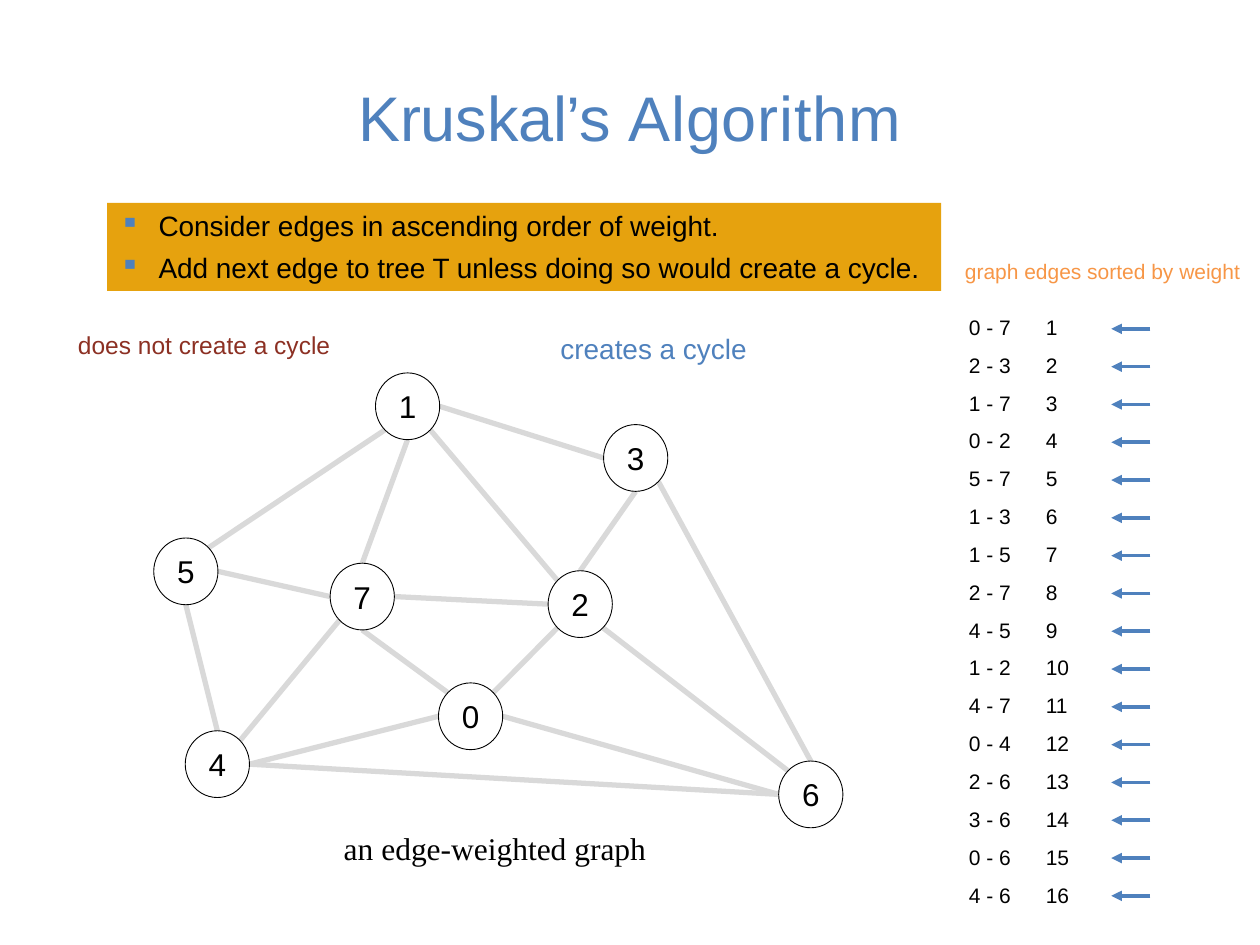
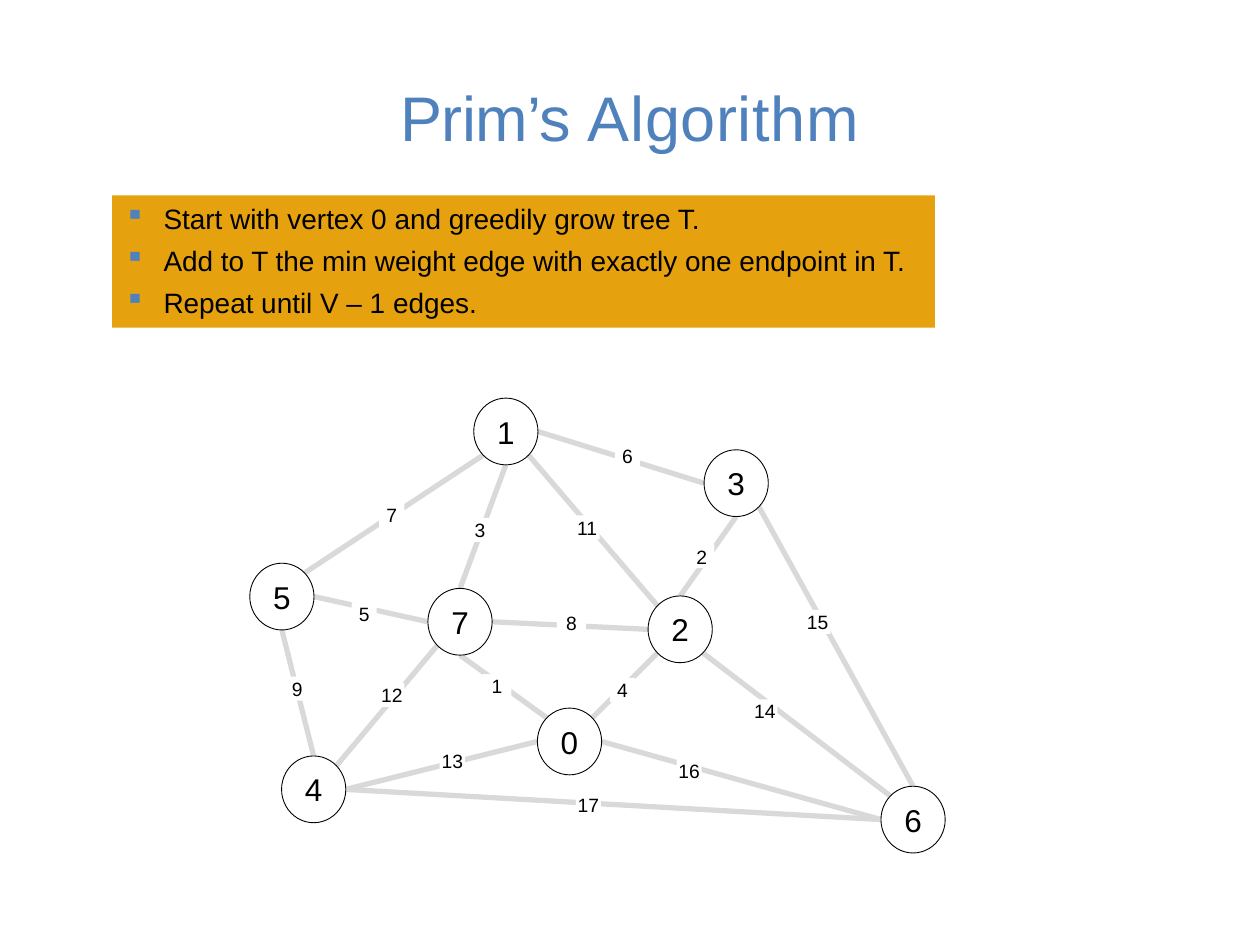
"""Two slides on minimum spanning trees: Kruskal and Prim."""
from dataclasses import dataclass
from math import sqrt
from typing import NamedTuple

from lxml import etree as et
from pptx import Presentation
from pptx import util as u
from pptx.dml import color
from pptx.enum import shapes, text
from pptx.oxml import ns


@dataclass(frozen=True)
class Theme:
    """Colours, fonts and type sizes of the deck."""
    blue: str = "4F81BD"
    gold: str = "E6A20E"
    orange: str = "F79646"
    brown: str = "8C3023"
    grey: str = "D9D9D9"
    black: str = "000000"
    white: str = "FFFFFF"
    sans: str = "Arial"
    serif: str = "Times New Roman"
    title: int = 36
    node: int = 18
    body: int = 16
    note: int = 14
    small: int = 12
    weight: int = 11


class Box(NamedTuple):
    """A place on the grid: column, row, columns wide, rows high."""
    x: float
    y: float
    w: float
    h: float


class Point(NamedTuple):
    """A point on the grid."""
    x: float
    y: float


class Edge(NamedTuple):
    """A graph edge with the sites it leaves and meets and its label's place."""
    start: int
    site: str
    end: int
    goal: str
    weight: int
    spot: Point
    wide: float = 2


class Note(NamedTuple):
    """A caption with its place and look."""
    words: str
    box: Box
    size: int
    ink: str
    font: str


class Map(NamedTuple):
    """How the graph is stretched and moved on a slide."""
    scale: float
    right: float
    down: float


LOOK = Theme()
COLS, ROWS = 100, 75
WIDE, HIGH = u.Inches(10), u.Inches(7.5)
NODE_W, NODE_H = 5.1, 5.3
LABEL_H = 1.9
TITLE = Box(5, 3, 90, 12.5)
TABLE = Box(75.9, 24.6, 11.5, 48)
SPLIT = (6.1, 5.4)
ARROW = (91.3, 88.2)

NODES: dict[int, Point] = {
    0: Point(34.8, 54.2), 1: Point(29.8, 29.6), 2: Point(43.5, 45.3),
    3: Point(47.9, 33.7), 4: Point(14.7, 58), 5: Point(12.2, 42.7),
    6: Point(61.8, 60.4), 7: Point(26.2, 44.7),
}

EDGES = (
    Edge(0, "nw", 7, "s", 1, Point(38.3, 53.5), 2.3),
    Edge(2, "n", 3, "s", 2, Point(54.7, 43.2)),
    Edge(1, "s", 7, "n", 3, Point(37.1, 41.1)),
    Edge(0, "ne", 2, "sw", 4, Point(48.4, 53.8)),
    Edge(5, "e", 7, "w", 5, Point(27.9, 47.8)),
    Edge(1, "e", 3, "w", 6, Point(48.8, 35.2)),
    Edge(1, "sw", 5, "ne", 7, Point(30.1, 39.9)),
    Edge(2, "w", 7, "e", 8, Point(44.2, 48.5), 2.3),
    Edge(4, "n", 5, "s", 9, Point(22.6, 53.7)),
    Edge(1, "se", 2, "nw", 11, Point(45.6, 40.9)),
    Edge(4, "ne", 7, "sw", 12, Point(30.1, 54.2)),
    Edge(0, "w", 4, "e", 13, Point(34.9, 59.4)),
    Edge(2, "se", 6, "nw", 14, Point(59.7, 55.5)),
    Edge(3, "se", 6, "n", 15, Point(63.9, 48.4)),
    Edge(0, "e", 6, "w", 16, Point(53.7, 60.2)),
    Edge(4, "e", 6, "w", 17, Point(45.7, 62.9)),
)

NOTES = (
    Note("graph edges sorted by weight", Box(75.6, 20, 24.3, 3),
         LOOK.small, LOOK.orange, LOOK.sans),
    Note("an edge-weighted graph", Box(26.3, 65.3, 26.3, 4),
         LOOK.node, LOOK.black, LOOK.serif),
    Note("does not create a cycle", Box(5.2, 25.7, 22.7, 3.4),
         LOOK.note, LOOK.brown, LOOK.sans),
    Note("creates a cycle", Box(43.5, 25.8, 17, 3.7),
         LOOK.body, LOOK.blue, LOOK.sans),
)


def col(n: float) -> int:
    """Turn grid columns into a length."""
    return round(WIDE * n / COLS)


def row(n: float) -> int:
    """Turn grid rows into a length."""
    return round(HIGH * n / ROWS)


def place(box: Box) -> tuple[int, int, int, int]:
    """Turn a grid box into lengths."""
    return col(box.x), row(box.y), col(box.w), row(box.h)


def tint(name: str) -> color.RGBColor:
    """Read a hex colour."""
    return color.RGBColor.from_string(name)


def style(para, size: int, ink: str = LOOK.black, font: str = LOOK.sans) -> None:
    """Format every run of a paragraph."""
    for run in para.runs:
        run.font.size = u.Pt(size)
        run.font.name = font
        run.font.color.rgb = tint(ink)


def write(slide, note: Note):
    """Add a text box with one line and return its paragraph."""
    frame = slide.shapes.add_textbox(*place(note.box)).text_frame
    frame.word_wrap = True
    frame.text = note.words
    style(frame.paragraphs[0], note.size, note.ink, note.font)
    return frame.paragraphs[0]


def head(slide, name: str, gaps: tuple[int, int]) -> None:
    """Add the title, its two words spaced in hundredths of a point."""
    para = write(slide, Note(f"{name} ", TITLE, LOOK.title, LOOK.blue, LOOK.sans))
    para.add_run().text = "Algorithm"
    para.alignment = text.PP_ALIGN.CENTER
    slide.shapes[-1].text_frame.vertical_anchor = text.MSO_ANCHOR.MIDDLE
    style(para, LOOK.title, LOOK.blue)
    for run, gap in zip(para.runs, gaps):
        run.font._element.set("spc", str(gap))


def form(slide, kind, box: Box, fill: str, line: str | None = None):
    """Add a flat filled shape."""
    shape = slide.shapes.add_shape(kind, *place(box))
    shape.shadow.inherit = False
    shape.fill.solid()
    shape.fill.fore_color.rgb = tint(fill)
    if line:
        shape.line.color.rgb = tint(line)
        shape.line.width = u.Pt(0.5)
    else:
        shape.line.fill.background()
    return shape


def mark(shape, words: str, size: int) -> None:
    """Centre a short text in a shape."""
    frame = shape.text_frame
    frame.margin_left = frame.margin_right = 0
    frame.margin_top = frame.margin_bottom = 0
    frame.word_wrap = False
    frame.vertical_anchor = text.MSO_ANCHOR.MIDDLE
    frame.text = words
    frame.paragraphs[0].alignment = text.PP_ALIGN.CENTER
    style(frame.paragraphs[0], size)


def band(slide, box: Box, lines: list[str]) -> None:
    """Add the gold band with bulleted lines."""
    frame = form(slide, shapes.MSO_SHAPE.RECTANGLE, box, LOOK.gold).text_frame
    frame.word_wrap = True
    frame.vertical_anchor = text.MSO_ANCHOR.TOP
    frame.text = "\n".join(lines)
    for i, para in enumerate(frame.paragraphs):
        props = para._p.get_or_add_pPr()
        props.set("marL", str(u.Inches(0.31)))
        props.set("indent", str(-u.Inches(0.31)))
        shade = et.SubElement(props, ns.qn("a:buClr"))
        et.SubElement(shade, ns.qn("a:srgbClr"), val=LOOK.blue)
        et.SubElement(props, ns.qn("a:buChar"), char="▪")
        para.alignment = text.PP_ALIGN.LEFT
        para.space_before = u.Pt(2.4 if i else 0)
        para.space_after = u.Pt(2.4)
        style(para, LOOK.body)


def link(slide, start: Point, end: Point, ink: str, width: float):
    """Add a straight line and return it."""
    line = slide.shapes.add_connector(
        shapes.MSO_CONNECTOR.STRAIGHT,
        col(start.x), row(start.y), col(end.x), row(end.y))
    line.line.color.rgb = tint(ink)
    line.line.width = u.Pt(width)
    et.SubElement(line._element.spPr, ns.qn("a:effectLst"))
    return line


def shift(node: int, view: Map) -> Point:
    """Find a node's top left corner on the slide."""
    x, y = NODES[node]
    return Point(x * view.scale + view.right, y + view.down)


def rim(node: int, site: str, view: Map) -> Point:
    """Find the point on a node's rim in a compass direction."""
    x, y = shift(node, view)
    reach = 0.5 / sqrt(len(site))
    across = ("e" in site) - ("w" in site)
    down = ("s" in site) - ("n" in site)
    return Point(x + NODE_W * (0.5 + across * reach),
                 y + NODE_H * (0.5 + down * reach))


def graph(slide, view: Map) -> None:
    """Draw all edges, then all nodes."""
    for edge in EDGES:
        link(slide, rim(edge.start, edge.site, view),
             rim(edge.end, edge.goal, view), LOOK.grey, 3)
    for node in NODES:
        disc = form(slide, shapes.MSO_SHAPE.OVAL,
                    Box(*shift(node, view), NODE_W, NODE_H), LOOK.white, LOOK.black)
        mark(disc, str(node), LOOK.node)


def ranks(slide) -> None:
    """Add the table of sorted edges with an arrow for each row."""
    grid = slide.shapes.add_table(len(EDGES), len(SPLIT), *place(TABLE)).table
    grid.first_row = grid.horz_banding = False
    for part, width in zip(grid.columns, SPLIT):
        part.width = col(width)
    step = TABLE.h / len(EDGES)
    for i, edge in enumerate(EDGES):
        for j, words in enumerate((f"{edge.start} - {edge.end}", str(i + 1))):
            cell = grid.cell(i, j)
            cell.fill.background()
            cell.text = words
            style(cell.text_frame.paragraphs[0], LOOK.small)
        y = TABLE.y + step * (i + 0.5)
        line = link(slide, Point(ARROW[0], y), Point(ARROW[1], y), LOOK.blue, 2)
        et.SubElement(line.line._get_or_add_ln(), ns.qn("a:tailEnd"), type="triangle")


def kruskal(slide) -> None:
    """Build the slide on Kruskal's algorithm."""
    head(slide, "Kruskal’s", (-10, 50))
    band(slide, Box(8.5, 16.1, 66.2, 7), [
        "Consider edges in ascending order of weight.",
        "Add next edge to tree T unless doing so would create a cycle."])
    graph(slide, Map(1, 0, 0))
    ranks(slide)
    for note in NOTES:
        write(slide, note)


def prim(slide) -> None:
    """Build the slide on Prim's algorithm."""
    head(slide, "Prim’s", (-40, 40))
    band(slide, Box(8.9, 15.5, 65.3, 10.5), [
        "Start with vertex 0 and greedily grow tree T.",
        "Add to T the min weight edge with exactly one endpoint in T.",
        "Repeat until V – 1 edges."])
    graph(slide, Map(1.01, 7.5, 2))
    for edge in EDGES:
        tag = form(slide, shapes.MSO_SHAPE.RECTANGLE,
                   Box(*edge.spot, edge.wide, LABEL_H), LOOK.white)
        mark(tag, str(edge.weight), LOOK.weight)


def main() -> None:
    """Build and save the deck."""
    deck = Presentation()
    deck.slide_width, deck.slide_height = WIDE, HIGH
    for build in (kruskal, prim):
        build(deck.slides.add_slide(deck.slide_layouts[6]))
    deck.save("out.pptx")


if __name__ == "__main__":
    main()
